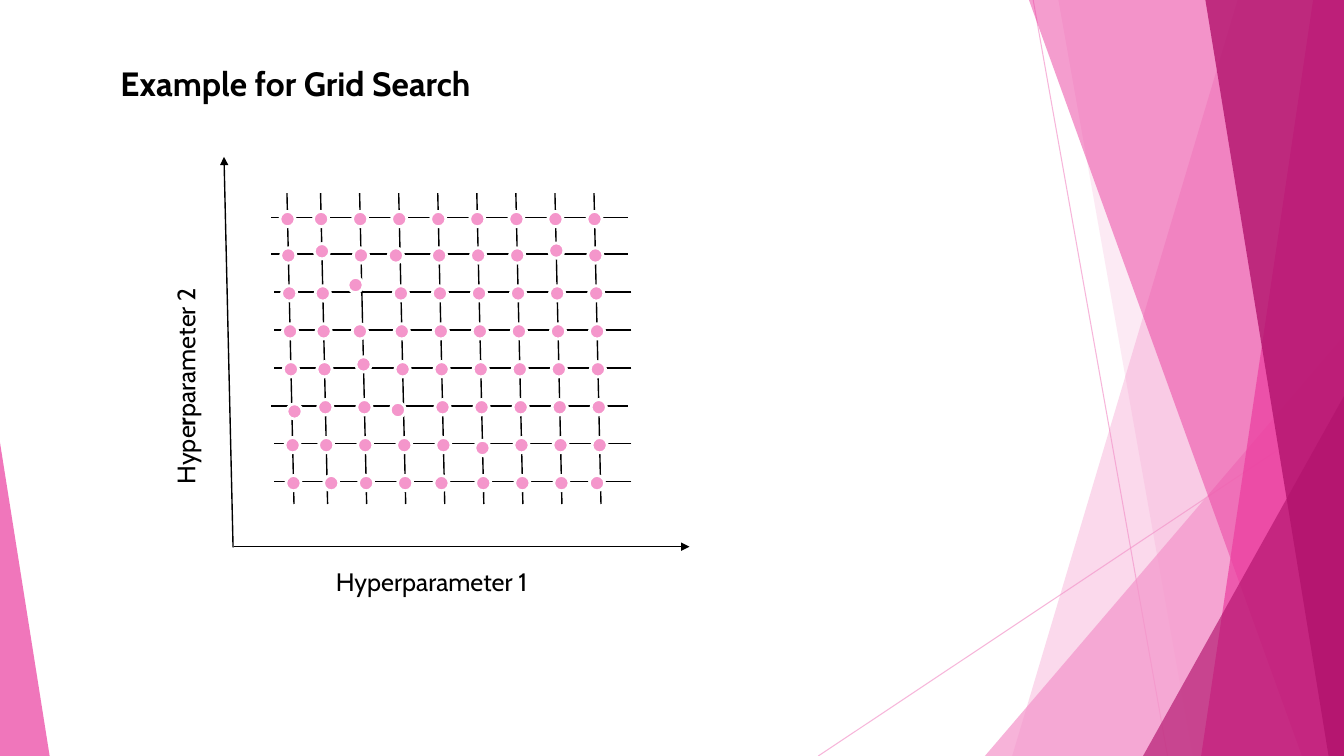
from itertools import product
from lxml.etree import SubElement
from pptx import Presentation
from pptx.dml.color import RGBColor
from pptx.enum.shapes import MSO_CONNECTOR, MSO_SHAPE
from pptx.enum.text import MSO_AUTO_SIZE
from pptx.oxml.ns import qn
from pptx.util import Pt

WIDTH, HEIGHT = 960, 540
BLACK, WHITE, PINK, MAGENTA, PLUM = "000000", "FFFFFF", "F496CB", "EB3D9F", "B2136D"

COLUMN_COUNT, ROW_COUNT = 9, 8
FIRST_COLUMN, SECOND_COLUMN, COLUMN_PITCH = 205, 229, 27.9
FIRST_ROW, SECOND_ROW, ROW_PITCH = 155.5, 181.5, 27.1
GRID_TOP, GRID_BOTTOM, COLUMN_LEAN = 138, 360, 5
ROW_LEFT, ROW_LENGTH = 196, 255
OUTDENTED_ROWS, ROW_OUTDENT = {0, 1, 5}, 2.5
DOT_SIZE, DOT_SAG = 11, 1

DOT_NUDGES = {
    (1, 1): (0, -3), (1, 3): (-3, 0), (1, 7): (0, -3.5),
    (2, 2): (-4.5, -6), (3, 2): (-2, 0), (4, 2): (0, -3.5),
    (5, 0): (2, 3), (5, 3): (-4, 2), (6, 5): (0, 2),
    (7, 1): (3, 0), (7, 4): (-2, 0), (7, 8): (-2.5, 0),
}


def rgb(value):
    return RGBColor.from_string(value)


def grid_positions(first, second, pitch, count):
    return [first] + [second + pitch * step for step in range(count - 1)]


def points(values):
    return [Pt(value) for value in values]


class SlideBuilder:
    """Draws styled elements on the current slide, measured in points."""

    font_name = "Cabin"

    def __init__(self, slide):
        self.slide = slide

    def set_alpha(self, properties, alpha):
        color = properties.find(".//" + qn("a:srgbClr"))
        SubElement(color, qn("a:alpha"), val=str(alpha * 1000))

    def paint(self, shape, color, alpha=None, outline=None):
        shape.shadow.inherit = False
        shape.fill.solid()
        shape.fill.fore_color.rgb = rgb(color)
        if alpha:
            self.set_alpha(shape._element.spPr, alpha)
        if outline:
            shape.line.color.rgb = rgb(outline)
            shape.line.width = Pt(2)
        else:
            shape.line.fill.background()

    def line(self, start, end, color=BLACK, width=1, alpha=None, arrow=False):
        connector = self.slide.shapes.add_connector(
            MSO_CONNECTOR.STRAIGHT, *points(start + end))
        connector.line.color.rgb = rgb(color)
        connector.line.width = Pt(width)
        properties = connector._element.spPr
        if alpha:
            self.set_alpha(properties, alpha)
        if arrow:
            SubElement(connector.line._get_or_add_ln(), qn("a:tailEnd"), type="triangle")
        SubElement(properties, qn("a:effectLst"))

    def band(self, top_left, bottom_left, color, alpha):
        freeform = self.slide.shapes.build_freeform(top_left, 0, scale=Pt(1))
        freeform.add_line_segments([(WIDTH, 0), (WIDTH, HEIGHT), (bottom_left, HEIGHT)])
        self.paint(freeform.convert_to_shape(), color, alpha)

    def corner_triangle(self, left, top, width, apex, color, alpha):
        shape = self.slide.shapes.add_shape(
            MSO_SHAPE.ISOSCELES_TRIANGLE, *points((left, top, width, HEIGHT - top)))
        shape.adjustments[0] = apex
        self.paint(shape, color, alpha)

    def dot(self, center_x, center_y):
        corner = center_x - DOT_SIZE / 2, center_y - DOT_SIZE / 2
        shape = self.slide.shapes.add_shape(
            MSO_SHAPE.FLOWCHART_CONNECTOR, *points(corner + (DOT_SIZE, DOT_SIZE)))
        self.paint(shape, PINK, outline=WHITE)

    def text(self, box, runs, size=18, rotation=0, margin=7.2):
        shape = self.slide.shapes.add_textbox(*points(box))
        shape.rotation = rotation
        frame_format = {"word_wrap": True, "margin_left": Pt(margin),
                        "auto_size": MSO_AUTO_SIZE.SHAPE_TO_FIT_TEXT}
        for name, value in frame_format.items():
            setattr(shape.text_frame, name, value)
        paragraph = shape.text_frame.paragraphs[0]
        for content, bold in runs:
            run = paragraph.add_run()
            run.text = content
            font_format = {"name": self.font_name, "size": Pt(size), "bold": bold}
            for name, value in font_format.items():
                setattr(run.font, name, value)
            run.font.color.rgb = rgb(BLACK)


def draw_backdrop(builder):
    builder.line((738, 0), (834, HEIGHT), PINK, 0.75, 70)
    builder.line((WIDTH, 290), (584.5, HEIGHT), PINK, 0.75, 70)
    builder.band(884, 723, PINK, 36)
    builder.band(756, 852, PINK, 20)
    builder.corner_triangle(703.5, 240, 256.5, 1, PINK, 72)
    builder.band(735, 929.5, MAGENTA, 50)
    builder.band(938, 858, MAGENTA, 70)
    builder.band(861, 949, PLUM, 80)
    builder.corner_triangle(816.5, 283, 143.5, 1, PLUM, 66)
    builder.corner_triangle(0, 316, 35.5, 0, MAGENTA, 70)


def draw_grid(builder):
    columns = grid_positions(FIRST_COLUMN, SECOND_COLUMN, COLUMN_PITCH, COLUMN_COUNT)
    rows = grid_positions(FIRST_ROW, SECOND_ROW, ROW_PITCH, ROW_COUNT)
    for x in columns:
        builder.line((x, GRID_TOP), (x + COLUMN_LEAN, GRID_BOTTOM))
    for row, y in enumerate(rows):
        left = ROW_LEFT - (ROW_OUTDENT if row in OUTDENTED_ROWS else 0)
        builder.line((left + ROW_LENGTH, y), (left, y))
    for (row, y), (column, x) in product(enumerate(rows), enumerate(columns)):
        lean = COLUMN_LEAN * (y - GRID_TOP) / (GRID_BOTTOM - GRID_TOP)
        nudge_x, nudge_y = DOT_NUDGES.get((row, column), (0, 0))
        builder.dot(x + lean + nudge_x, y + DOT_SAG + nudge_y)


def draw_axes(builder):
    builder.line((166.5, 391), (160, 112), arrow=True)
    builder.line((167.5, 390.5), (492.5, 390.5), arrow=True)
    builder.text((217, 401, 188, 29), [("Hyperparameter 1", False)], margin=23)
    builder.text((34.5, 240.5, 196, 29),
                 [("Hype", False), ("r", True), ("parameter 2", False)], rotation=270)


def main():
    presentation = Presentation()
    presentation.slide_width, presentation.slide_height = Pt(WIDTH), Pt(HEIGHT)
    builder = SlideBuilder(presentation.slides.add_slide(presentation.slide_layouts[6]))
    draw_backdrop(builder)
    draw_grid(builder)
    draw_axes(builder)
    builder.text((79, 41.5, 559, 36), [("Example for Grid Search", True)], size=24)
    presentation.save("out.pptx")


if __name__ == "__main__":
    main()
